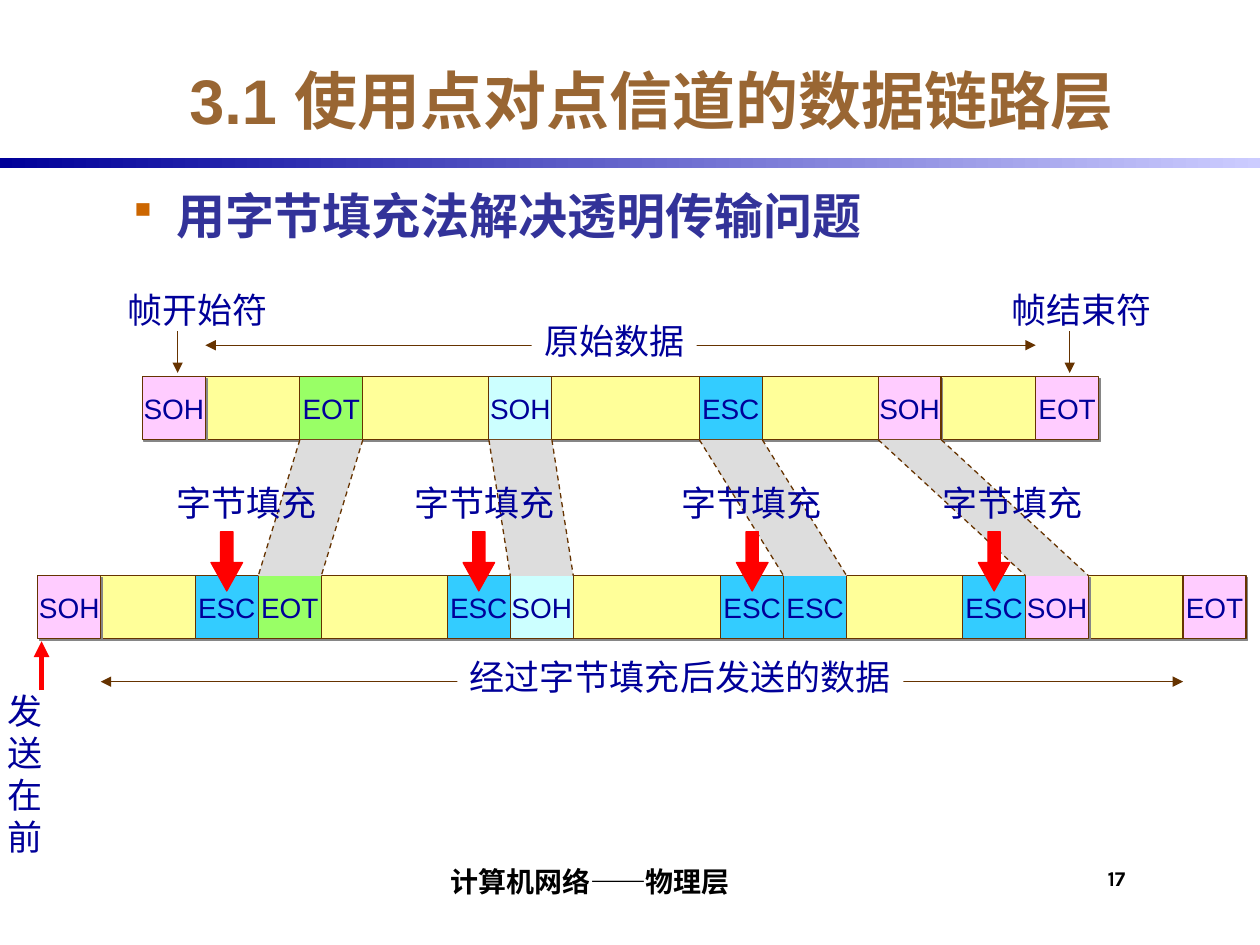
from dataclasses import dataclass

import lxml.etree
import pptx
import pptx.dml.color
import pptx.enum.dml
import pptx.enum.shapes
import pptx.enum.text
import pptx.oxml.ns
import pptx.util
from pptx.util import Inches

SHAPE = pptx.enum.shapes.MSO_SHAPE
ALIGN = pptx.enum.text.PP_ALIGN
ANCHOR = pptx.enum.text.MSO_ANCHOR


@dataclass(frozen=True)
class Theme:
    title: str = "996633"
    heading: str = "333399"
    text: str = "000099"
    footer: str = "000000"
    bullet: str = "CC6600"
    line: str = "663300"
    alert: str = "FF0000"
    shadow: str = "868686"
    paper: str = "FFFFFF"
    band: str = "DDDDDD"
    data: str = "FFFF99"
    pink: str = "FFCCFF"
    green: str = "99FF66"
    cyan: str = "CCFFFF"
    blue: str = "33CCFF"
    fade: str = "CCCCFF"
    font: str = "Arial"
    footer_font: str = "Karla"
    title_size: int = 36
    heading_size: int = 28
    label_size: int = 20
    byte_size: int = 16
    number_size: int = 12


T = Theme()
BYTE = 0.5
GAPS = [0.75, 1, 1.17, 0.92, 0.75]  # data between marked bytes
START, END = ("SOH", T.pink), ("EOT", T.pink)
ESCAPE = ("ESC", T.blue)
PAYLOAD = [("EOT", T.green), ("SOH", T.cyan), ESCAPE, ("SOH", T.pink)]


def rgb(code):
    return pptx.dml.color.RGBColor.from_string(code)


def add_xml(parent, tag, **attrs):
    return lxml.etree.SubElement(parent, pptx.oxml.ns.qn(tag), attrs)


def write(shape, text, size, color=T.text, font=T.font, bold=False, align=ALIGN.LEFT,
          anchor=ANCHOR.TOP, wrap=False):
    tf = shape.text_frame
    tf.text = text
    tf.word_wrap = wrap
    tf.vertical_anchor = anchor
    for p in tf.paragraphs:
        p.alignment = align
        for r in p.runs:
            r.font.size = pptx.util.Pt(size)
            r.font.name = font
            r.font.bold = bold
            r.font.color.rgb = rgb(color)
    return tf


def text_box(s, x, y, w, h, text, size, **style):
    sp = s.shapes.add_textbox(Inches(x), Inches(y), Inches(w), Inches(h))
    write(sp, text, size, **style)
    return sp


def label(s, x, y, text, w=1.31, h=0.44):
    return text_box(s, x, y, w, h, text, T.label_size)


def paint(sp, fill, line=None):
    sp.shadow.inherit = False
    sp.fill.solid()
    sp.fill.fore_color.rgb = rgb(fill)
    if line:
        sp.line.color.rgb = rgb(line)
        sp.line.width = pptx.util.Pt(0.75)
    else:
        sp.line.fill.background()


def box(s, x, y, w, h, fill, shadow):
    sp = s.shapes.add_shape(SHAPE.RECTANGLE, Inches(x), Inches(y), Inches(w), Inches(h))
    paint(sp, fill, T.line)
    if shadow:
        effects = sp._element.spPr.find(pptx.oxml.ns.qn("a:effectLst"))
        outer = add_xml(effects, "a:outerShdw", dist="17780", dir="2700000")
        add_xml(outer, "a:srgbClr", val=T.shadow)
    return sp


def line(s, x1, y1, x2, y2, color=T.line, width=0.75, dashed=False, ends=()):
    c = s.shapes.add_connector(pptx.enum.shapes.MSO_CONNECTOR.STRAIGHT,
                               Inches(x1), Inches(y1), Inches(x2), Inches(y2))
    c.line.color.rgb = rgb(color)
    c.line.width = pptx.util.Pt(width)
    if dashed:
        c.line.dash_style = pptx.enum.dml.MSO_LINE.DASH
    for end in ends:
        add_xml(c.line._get_or_add_ln(), end, type="triangle")
    add_xml(c._element.spPr, "a:effectLst")


def layout(groups):
    """Offsets of the bytes in each group, and of the byte run's end."""
    x, offsets = 0, []
    for group, gap in zip(groups, GAPS + [0]):
        offsets.append([x + i * BYTE for i in range(len(group))])
        x += len(group) * BYTE + gap
    return offsets, x


def frame(s, x, y, groups):
    """Draw a frame; return the left edges of its bytes by group."""
    offsets, width = layout(groups)
    box(s, x + BYTE, y, width - BYTE * 2, BYTE, T.data, True)
    for group, places in zip(groups, offsets):
        for (name, fill), dx in zip(group, places):
            sp = box(s, x + dx, y, BYTE, BYTE, fill, fill == T.pink)
            write(sp, name, T.byte_size, align=ALIGN.CENTER, anchor=ANCHOR.MIDDLE)
    return [[x + dx for dx in places] for places in offsets]


def span(s, x1, x2, y, text, text_x, text_y, text_w):
    """Double arrow with a label set into it."""
    line(s, x1, y, x2, y, ends=("a:headEnd", "a:tailEnd"))
    sp = label(s, text_x, text_y, text, text_w)
    sp.fill.solid()
    sp.fill.fore_color.rgb = rgb(T.paper)


def links(s, pairs, top, bottom):
    """Grey bands with dashed edges from each byte to its place in the sent frame."""
    for a, b in pairs:
        fb = s.shapes.build_freeform(Inches(a), Inches(top), scale=1.0)
        fb.add_line_segments([(Inches(a + BYTE), Inches(top)), (Inches(b + BYTE), Inches(bottom)),
                              (Inches(b), Inches(bottom))], close=True)
        paint(fb.convert_to_shape(), T.band)
        for edge in (0, BYTE):
            line(s, a + edge, top, b + edge, bottom, dashed=True)


def stuffing_marks(s, escapes, y):
    for x, text_x in zip(escapes, [1.3, 3.19, 5.31, 7.38]):
        label(s, text_x, y - 0.8, "字节填充")
        w = 0.25
        sp = s.shapes.add_shape(SHAPE.DOWN_ARROW, Inches(x + (BYTE - w) / 2), Inches(y - 0.35),
                                Inches(w), Inches(0.47))
        sp.adjustments[0], sp.adjustments[1] = 0.39, 0.9
        paint(sp, T.alert, T.alert)


def diagram(s, x, y):
    sent_x, sent_y = x - 0.83, y + 1.58
    plain = [[b] for b in (START, *PAYLOAD, END)]
    stuffed = [[START], *([ESCAPE, b] for b in PAYLOAD), [END]]
    original = frame(s, x, y, plain)
    sent = frame(s, sent_x, sent_y, stuffed)
    pairs = [(a[0], b[1]) for a, b in zip(original[1:-1], sent[1:-1])]
    links(s, pairs, y + BYTE, sent_y)

    span(s, x + BYTE, original[-1][0], y - 0.25, "原始数据", x + 3.09, y - 0.5, 1.31)
    span(s, sent_x + BYTE, sent[-1][0], sent_y + 0.84, "经过字节填充后发送的数据",
         sent_x + 3.33, sent_y + 0.58, 3.54)
    stuffing_marks(s, [group[0] for group in sent[1:-1]], sent_y)

    for dx, text_dx, text in [(0.28, -0.22, "帧开始符"), (7.36, 6.8, "帧结束符")]:
        line(s, x + dx, y - 0.36, x + dx, y - 0.03, ends=("a:tailEnd",))
        label(s, x + text_dx, y - 0.75, text)
    line(s, sent_x + 0.03, sent_y + 0.91, sent_x + 0.03, sent_y + 0.52, T.alert, 3,
         ends=("a:tailEnd",))
    label(s, sent_x - 0.34, sent_y + 0.85, "发送\n在前", 0.75, 0.77)


def header(s, x, y, w):
    rule = s.shapes.add_shape(SHAPE.RECTANGLE, 0, Inches(y + 0.92), Inches(10), Inches(0.08))
    rule.shadow.inherit = False
    rule.line.fill.background()
    rule.fill.gradient()
    rule.fill.gradient_angle = 0
    for stop, color in zip(rule.fill.gradient_stops, (T.text, T.fade)):
        stop.color.rgb = rgb(color)
    text_box(s, x, y, w, 0.92, "3.1 使用点对点信道的数据链路层", T.title_size, color=T.title,
             bold=True, align=ALIGN.CENTER, anchor=ANCHOR.MIDDLE, wrap=True)


def heading(s, x, y, w):
    sp = text_box(s, x, y, w, 0.7, "用字节填充法解决透明传输问题", T.heading_size,
                  color=T.heading, bold=True, wrap=True)
    pPr = sp.text_frame.paragraphs[0]._p.get_or_add_pPr()
    pPr.set("marL", str(Inches(0.38)))
    pPr.set("indent", str(-Inches(0.38)))
    add_xml(add_xml(pPr, "a:buClr"), "a:srgbClr", val=T.bullet)
    add_xml(pPr, "a:buSzPct", val="80000")
    add_xml(pPr, "a:buChar", char="▪")


def footer(s, x, y):
    style = dict(color=T.footer, font=T.footer_font, bold=True, wrap=True)
    name = text_box(s, x, y, 5.17, 0.42, "计算机网络——物理层", T.byte_size,
                    align=ALIGN.CENTER, anchor=ANCHOR.BOTTOM, **style)
    number = text_box(s, x + 6.67, y + 0.08, 0.58, 0.42, "17", T.number_size, **style)
    for sp, top, bottom in ((name, 0, 0.04), (number, 0.04, 0)):
        tf = sp.text_frame
        tf.margin_left, tf.margin_right = Inches(0.04), 0
        tf.margin_top, tf.margin_bottom = Inches(top), Inches(bottom)


def main():
    prs = pptx.Presentation()
    prs.slide_width, prs.slide_height = Inches(10), Inches(7.5)
    s = prs.slides.add_slide(prs.slide_layouts[6])
    header(s, 0.92, 0.33, 8.5)
    heading(s, 0.92, 1.42, 8.5)
    diagram(s, 1.13, 2.99)
    footer(s, 2.08, 6.75)
    prs.save("out.pptx")


if __name__ == "__main__":
    main()
